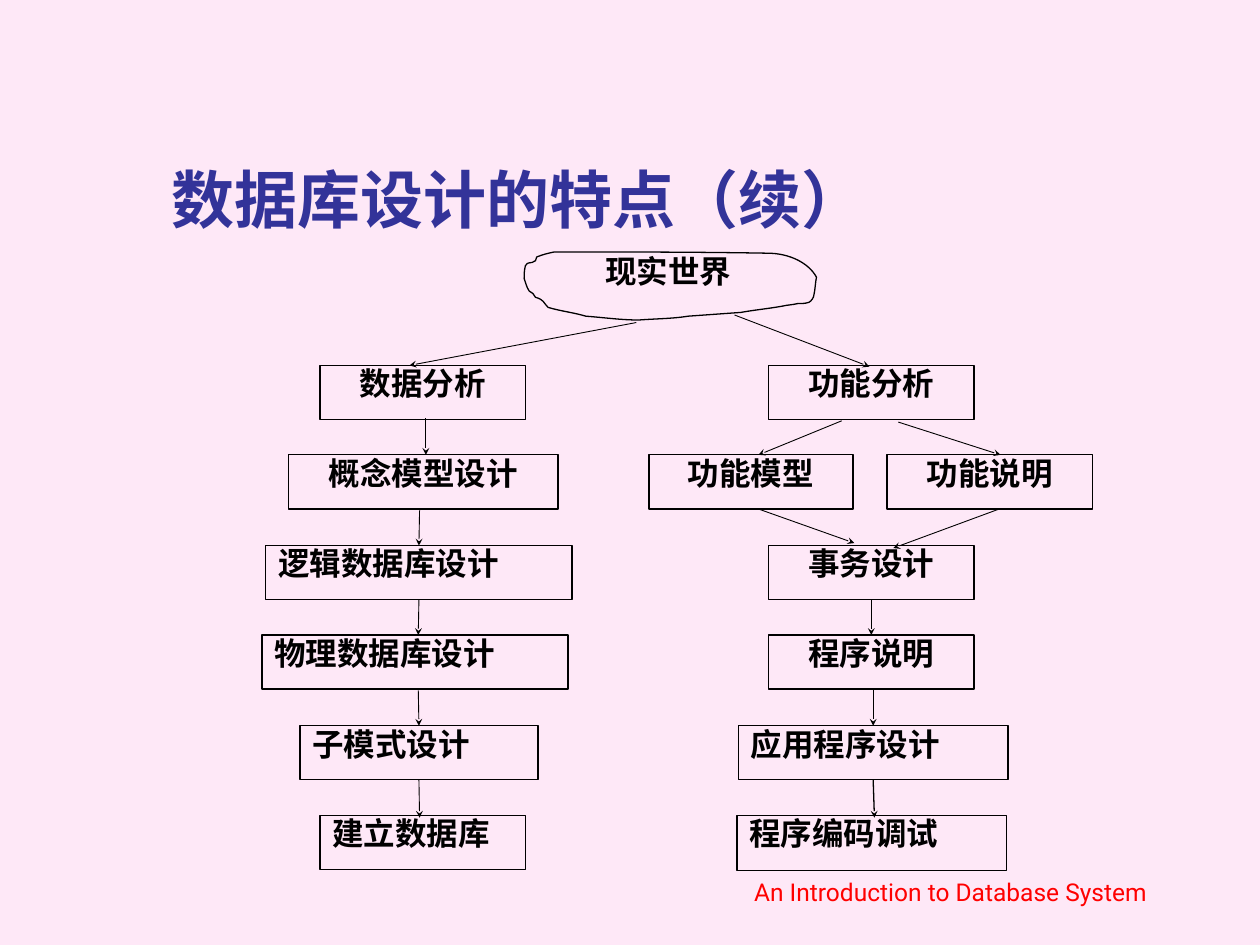
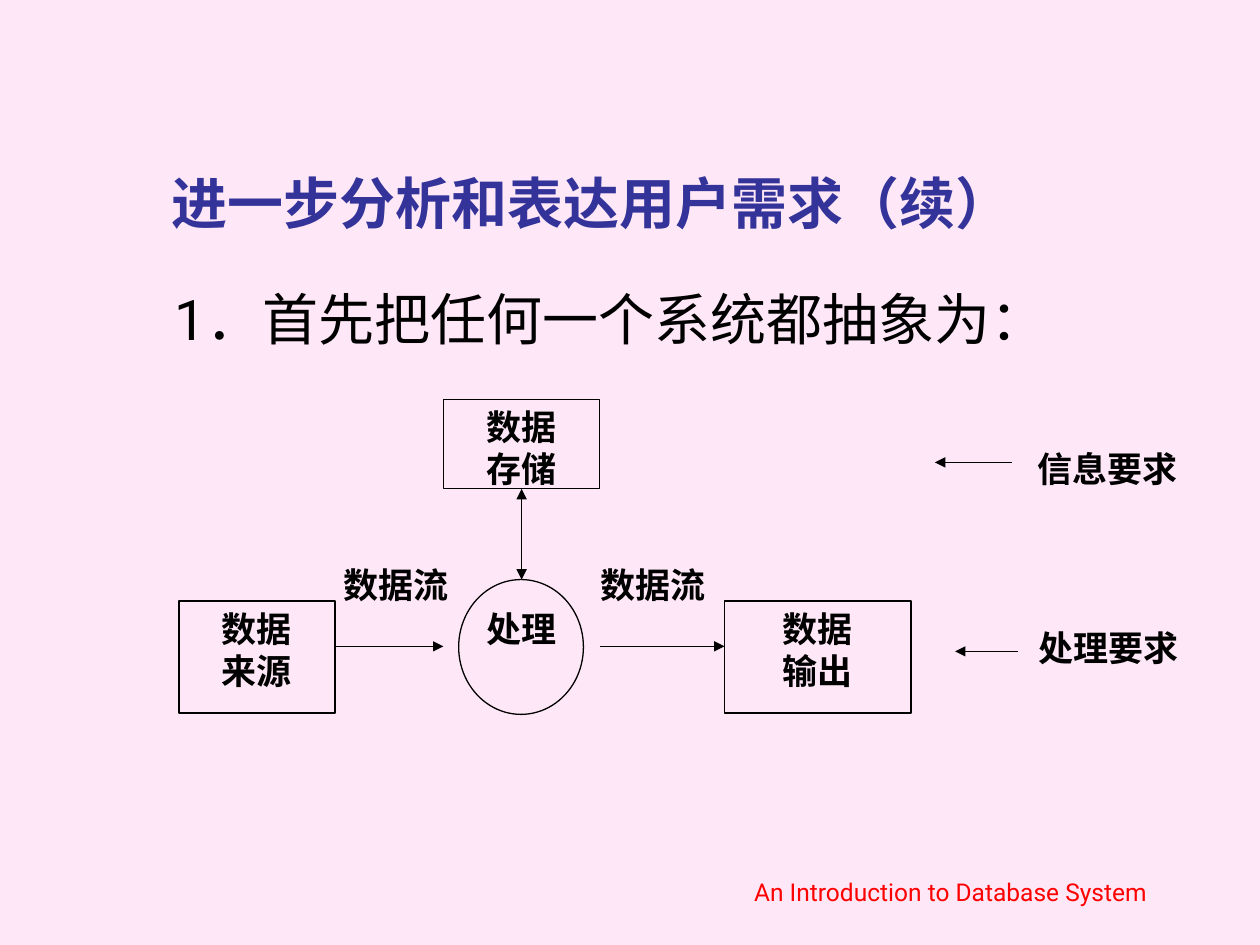
"""Build two database-design slides: the design process and the data-flow abstraction."""
from dataclasses import dataclass
from typing import NamedTuple

from lxml import etree
from pptx import Presentation
from pptx.dml.color import RGBColor
from pptx.enum import shapes, text
from pptx.oxml.ns import qn
from pptx.util import Inches, Pt


@dataclass(frozen=True)
class Theme:
    background: RGBColor = RGBColor(0xFE, 0xE8, 0xF7)
    title: RGBColor = RGBColor(0x33, 0x33, 0x99)
    ink: RGBColor = RGBColor(0, 0, 0)
    footer: RGBColor = RGBColor(0xFF, 0, 0)
    sans: str = "Roboto"
    serif: str = "Times New Roman"
    title_size: int = 36
    body_size: int = 32
    flow_size: int = 20
    step_size: int = 18
    footer_size: int = 14
    outline: float = 0.75
    hairline: float = 0.5


THEME = Theme()
LEFT = text.PP_ALIGN.LEFT
CENTER = text.PP_ALIGN.CENTER
JUSTIFY = text.PP_ALIGN.JUSTIFY
TOP = text.MSO_ANCHOR.TOP
BOTTOM = text.MSO_ANCHOR.BOTTOM
SNAP = 0.01


class Style(NamedTuple):
    font: str
    size: int
    color: RGBColor = THEME.ink
    bold: bool = False
    align: text.PP_ALIGN = LEFT
    anchor: text.MSO_ANCHOR = TOP
    side_inset: float = 0.1
    spacing: float = 1.0


class Area(NamedTuple):
    left: float
    top: float
    width: float
    height: float


class Node(NamedTuple):
    label: str
    area: Area
    style: Style


class Tip(NamedTuple):
    kind: str
    size: str


STEALTH = Tip("stealth", "sm")
TRIANGLE = Tip("triangle", "med")


class Arrow(NamedTuple):
    start: tuple[float, float]
    end: tuple[float, float]
    weight: float = THEME.hairline
    tip: Tip = STEALTH
    both_ways: bool = False


TITLE = Style(THEME.sans, THEME.title_size, THEME.title, bold=True, anchor=BOTTOM)
LONG_TITLE = TITLE._replace(size=THEME.body_size)
BODY = Style(THEME.sans, THEME.body_size)
FOOTER = Style(THEME.sans, THEME.footer_size, THEME.footer, align=CENTER, anchor=BOTTOM)
STEP = Style(THEME.serif, THEME.step_size, bold=True, align=CENTER, spacing=0.8)
LONG_STEP = STEP._replace(align=JUSTIFY)
FLOW = Style(THEME.serif, THEME.flow_size, bold=True, align=CENTER, side_inset=0)

STEP_TOP, STEP_BOTTOM, STEP_GAPS, STEP_HEIGHT = 2.9, 6.47, 5, 0.43


def step(label: str, row: int, left: float, width: float, style: Style = STEP) -> Node:
    """Place a design step on its row of the process chart."""
    top = round(STEP_TOP + row * (STEP_BOTTOM - STEP_TOP) / STEP_GAPS, 2)
    return Node(label, Area(left, top, width, STEP_HEIGHT), style)


DESIGN_STEPS = [
    step("概念模型设计", 1, 2.29, 2.14),
    step("子模式设计", 4, 2.38, 1.89, LONG_STEP),
    step("物理数据库设计", 3, 2.08, 2.43, LONG_STEP),
    step("逻辑数据库设计", 2, 2.11, 2.43, LONG_STEP),
    step("建立数据库", 5, 2.54, 1.63, LONG_STEP),
    step("数据分析", 0, 2.54, 1.63),
    step("功能分析", 0, 6.1, 1.63),
    step("功能模型", 1, 5.15, 1.62),
    step("功能说明", 1, 7.04, 1.63),
    step("事务设计", 2, 6.1, 1.63),
    step("程序说明", 3, 6.1, 1.63),
    step("应用程序设计", 4, 5.86, 2.14, LONG_STEP),
    Node("程序编码调试", Area(5.85, STEP_BOTTOM, 2.14, 0.44), LONG_STEP),
]
DESIGN_ARROWS = [
    Arrow((5.05, 2.56), (3.25, 2.9)),
    Arrow((3.38, 3.32), (3.38, 3.61)),
    Arrow((3.33, 4.05), (3.33, 4.33)),
    Arrow((3.32, 4.77), (3.32, 5.04)),
    Arrow((3.32, 5.48), (3.32, 5.76)),
    Arrow((3.33, 6.2), (3.33, 6.49)),
    Arrow((5.83, 2.5), (6.9, 2.91)),
    Arrow((6.68, 3.34), (6.02, 3.61)),
    Arrow((7.13, 3.35), (7.94, 3.61)),
    Arrow((6.02, 4.04), (6.78, 4.31)),
    Arrow((7.93, 4.04), (7.09, 4.35)),
    Arrow((6.92, 4.75), (6.92, 5.04)),
    Arrow((6.93, 5.47), (6.93, 5.76)),
    Arrow((6.94, 6.2), (6.94, 6.49), THEME.outline),
]
WORLD_START = (4.26, 2.04)
WORLD_CURVES = [
    ((4.31, 2.02), (4.35, 2.01), (4.4, 2)),
    ((4.96, 2), (5.53, 2), (6.09, 2.01)),
    ((6.27, 2.01), (6.42, 2.09), (6.48, 2.2)),
    ((6.47, 2.25), (6.47, 2.3), (6.46, 2.34)),
    ((6.46, 2.36), (6.44, 2.39), (6.42, 2.4)),
    ((6.39, 2.41), (6.36, 2.41), (6.33, 2.41)),
    ((6.29, 2.42), (6.25, 2.42), (6.21, 2.43)),
    ((6.1, 2.45), (5.99, 2.46), (5.88, 2.48)),
    ((5.74, 2.49), (5.46, 2.51), (5.46, 2.51)),
    ((5.34, 2.53), (5.2, 2.53), (5.07, 2.54)),
    ((4.93, 2.54), (4.79, 2.52), (4.65, 2.51)),
    ((4.55, 2.48), (4.45, 2.47), (4.35, 2.44)),
    ((4.31, 2.4), (4.32, 2.38), (4.25, 2.36)),
    ((4.24, 2.35), (4.24, 2.34), (4.23, 2.33)),
    ((4.22, 2.32), (4.21, 2.32), (4.2, 2.31)),
    ((4.18, 2.28), (4.17, 2.24), (4.16, 2.21)),
    ((4.16, 2.18), (4.16, 2.15), (4.17, 2.11)),
    ((4.19, 2.07), (4.21, 2.1), (4.25, 2.07)),
    ((4.26, 2.06), (4.26, 2.05), WORLD_START),
]
WORLD_LABEL = Node("现实世界", Area(4.52, 2.01, 1.57, 0.51), STEP)

FLOW_BOXES = [
    Node("数据\n存储", Area(3.52, 3.17, 1.24, 0.71), FLOW),
    Node("数据\n来源", Area(1.42, 4.77, 1.24, 0.89), FLOW),
    Node("数据\n输出", Area(5.75, 4.77, 1.48, 0.89), FLOW),
]
PROCESS_CIRCLE = Area(3.64, 4.6, 0.99, 1.07)
FLOW_LABELS = [
    Node("数据流", Area(4.63, 4.42, 1.11, 0.71), FLOW),
    Node("数据流", Area(2.65, 4.42, 0.99, 0.71), FLOW),
    Node("信息要求", Area(8.17, 3.5, 1.24, 0.73), FLOW),
    Node("处理", Area(3.77, 4.77, 0.74, 0.53), FLOW),
    Node("处理要求", Area(8.18, 4.92, 1.24, 0.57), FLOW),
]
FLOW_ARROWS = [
    Arrow((8.03, 3.67), (7.42, 3.67), THEME.outline, TRIANGLE),
    Arrow((2.65, 5.13), (3.52, 5.13), THEME.outline, TRIANGLE),
    Arrow((4.76, 5.13), (5.75, 5.13), THEME.outline, TRIANGLE),
    Arrow((8.08, 5.17), (7.58, 5.17), THEME.outline, TRIANGLE),
    Arrow((4.14, 3.88), (4.14, 4.6), THEME.outline, TRIANGLE, both_ways=True),
]


def write(shape, words: str, style: Style) -> None:
    """Fill a shape with styled text."""
    frame = shape.text_frame
    frame.text = words
    frame.word_wrap = True
    frame.vertical_anchor = style.anchor
    frame.margin_left = frame.margin_right = Inches(style.side_inset)
    frame.margin_top = frame.margin_bottom = Inches(0.05)
    for paragraph in frame.paragraphs:
        paragraph.alignment = style.align
        paragraph.line_spacing = style.spacing
        for run in paragraph.runs:
            run.font.name = style.font
            run.font.size = Pt(style.size)
            run.font.bold = style.bold
            run.font.color.rgb = style.color


def add_label(slide, node: Node) -> None:
    """Add unframed text."""
    write(slide.shapes.add_textbox(*map(Inches, node.area)), node.label, node.style)


def outline(shape) -> None:
    """Give a shape a thin outline without fill or shadow."""
    shape.shadow.inherit = False
    shape.fill.background()
    shape.line.color.rgb = THEME.ink
    shape.line.width = Pt(THEME.outline)


def add_box(slide, node: Node):
    """Add an outlined rectangle with its label."""
    box = slide.shapes.add_shape(shapes.MSO_SHAPE.RECTANGLE, *map(Inches, node.area))
    outline(box)
    write(box, node.label, node.style)
    return box


def side_middles(area: Area) -> list[tuple[float, float]]:
    """List the side middles in connection-site order."""
    left, top, width, height = area
    x, y = left + width / 2, top + height / 2
    return [(x, top), (left, y), (x, top + height), (left + width, y)]


def meets(point: tuple[float, float], middle: tuple[float, float]) -> bool:
    """Tell whether an arrow end lies at the middle of a side."""
    return all(round(abs(a - b), 3) <= SNAP for a, b in zip(point, middle))


def add_arrow(slide, arrow: Arrow, boxes: list) -> None:
    """Draw an arrow and join each end that meets the middle of a box side."""
    line = slide.shapes.add_connector(
        shapes.MSO_CONNECTOR.STRAIGHT, *map(Inches, arrow.start + arrow.end))
    line.line.color.rgb = THEME.ink
    line.line.width = Pt(arrow.weight)
    properties = line.line._get_or_add_ln()
    kind, size = arrow.tip
    for end in ("a:headEnd", "a:tailEnd") if arrow.both_ways else ("a:tailEnd",):
        etree.SubElement(properties, qn(end), type=kind, w=size, len=size)
    etree.SubElement(line._element.spPr, qn("a:effectLst"))
    for point, connect in ((arrow.start, line.begin_connect), (arrow.end, line.end_connect)):
        for node, box in boxes:
            for site, middle in enumerate(side_middles(node.area)):
                if meets(point, middle):
                    connect(box, site)


def add_chart_parts(slide, nodes: list[Node], arrows: list[Arrow]) -> None:
    """Draw boxes and the arrows between them."""
    boxes = [(node, add_box(slide, node)) for node in nodes]
    for arrow in arrows:
        add_arrow(slide, arrow, boxes)


def add_world(slide) -> None:
    """Draw the curved outline of the real world and its label."""
    builder = slide.shapes.build_freeform(*map(Inches, WORLD_START))
    builder.add_line_segments([tuple(map(Inches, curve[-1])) for curve in WORLD_CURVES], close=True)
    world = builder.convert_to_shape()
    outline(world)
    for segment, curve in zip(list(world._element.iter(qn("a:lnTo"))), WORLD_CURVES):
        bend = etree.Element(qn("a:cubicBezTo"))
        for x, y in curve:
            etree.SubElement(bend, qn("a:pt"), x=str(Inches(x) - world.left), y=str(Inches(y) - world.top))
        segment.getparent().replace(segment, bend)
    add_label(slide, WORLD_LABEL)


def add_slide(deck, title: str, style: Style):
    """Start a slide with the shared background, title and footer."""
    slide = deck.slides.add_slide(deck.slide_layouts[6])
    slide.background.fill.solid()
    slide.background.fill.fore_color.rgb = THEME.background
    add_label(slide, Node(title, Area(1.26, 0.67, 8.52, 1.25), style))
    add_label(slide, Node("An Introduction to Database System", Area(5.5, 6.74, 4.09, 0.5), FOOTER))
    return slide


def main() -> None:
    """Build and save both slides."""
    deck = Presentation()
    deck.slide_width, deck.slide_height = Inches(10), Inches(7.5)

    process = add_slide(deck, "数据库设计的特点（续）", TITLE)
    add_world(process)
    add_chart_parts(process, DESIGN_STEPS, DESIGN_ARROWS)

    abstraction = add_slide(deck, "进一步分析和表达用户需求（续）", LONG_TITLE)
    add_label(abstraction, Node("1．首先把任何一个系统都抽象为：", Area(1.29, 2.21, 8.5, 4.5), BODY))
    outline(abstraction.shapes.add_shape(shapes.MSO_SHAPE.OVAL, *map(Inches, PROCESS_CIRCLE)))
    add_chart_parts(abstraction, FLOW_BOXES, FLOW_ARROWS)
    for label in FLOW_LABELS:
        add_label(abstraction, label)

    deck.save("out.pptx")


if __name__ == "__main__":
    main()
